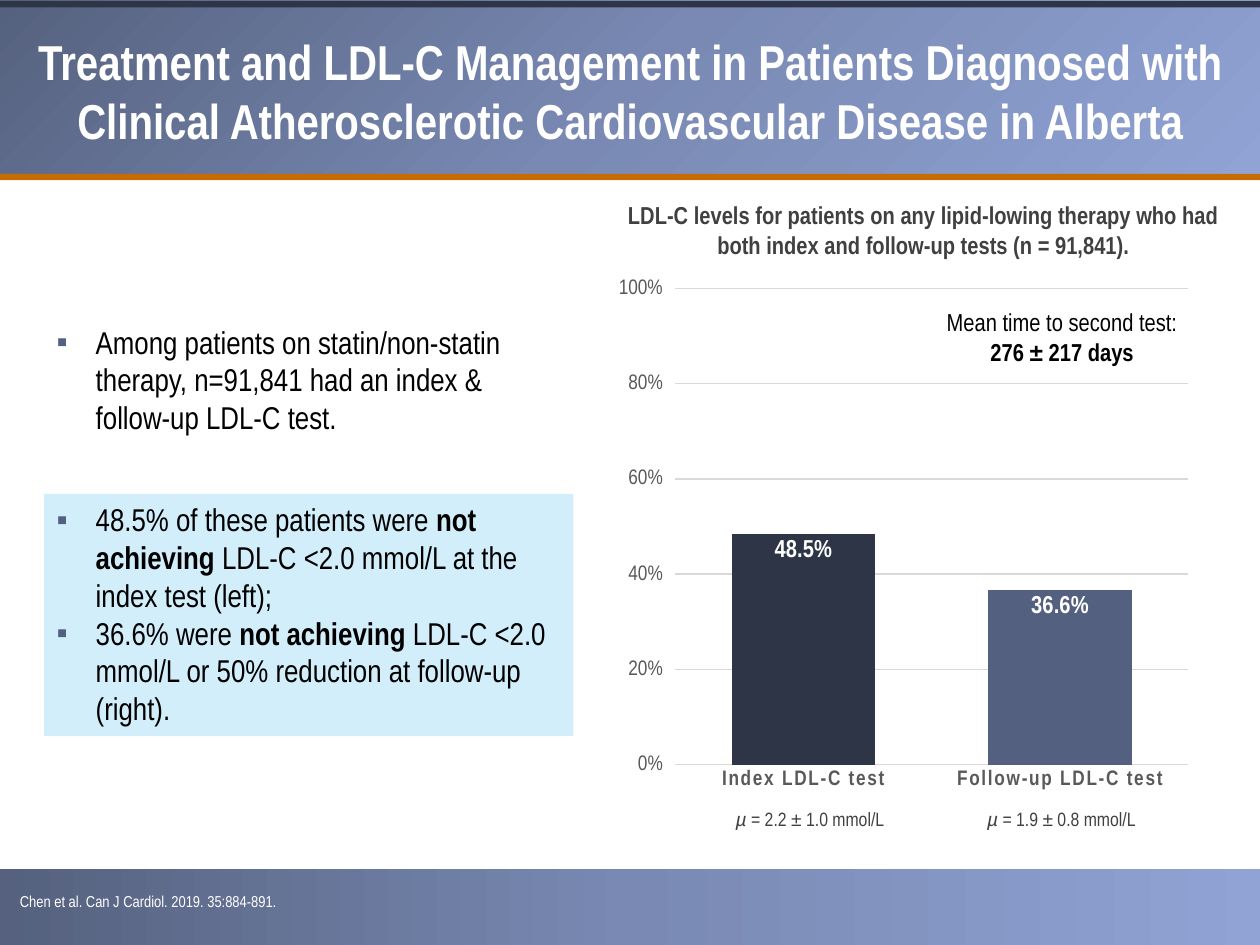
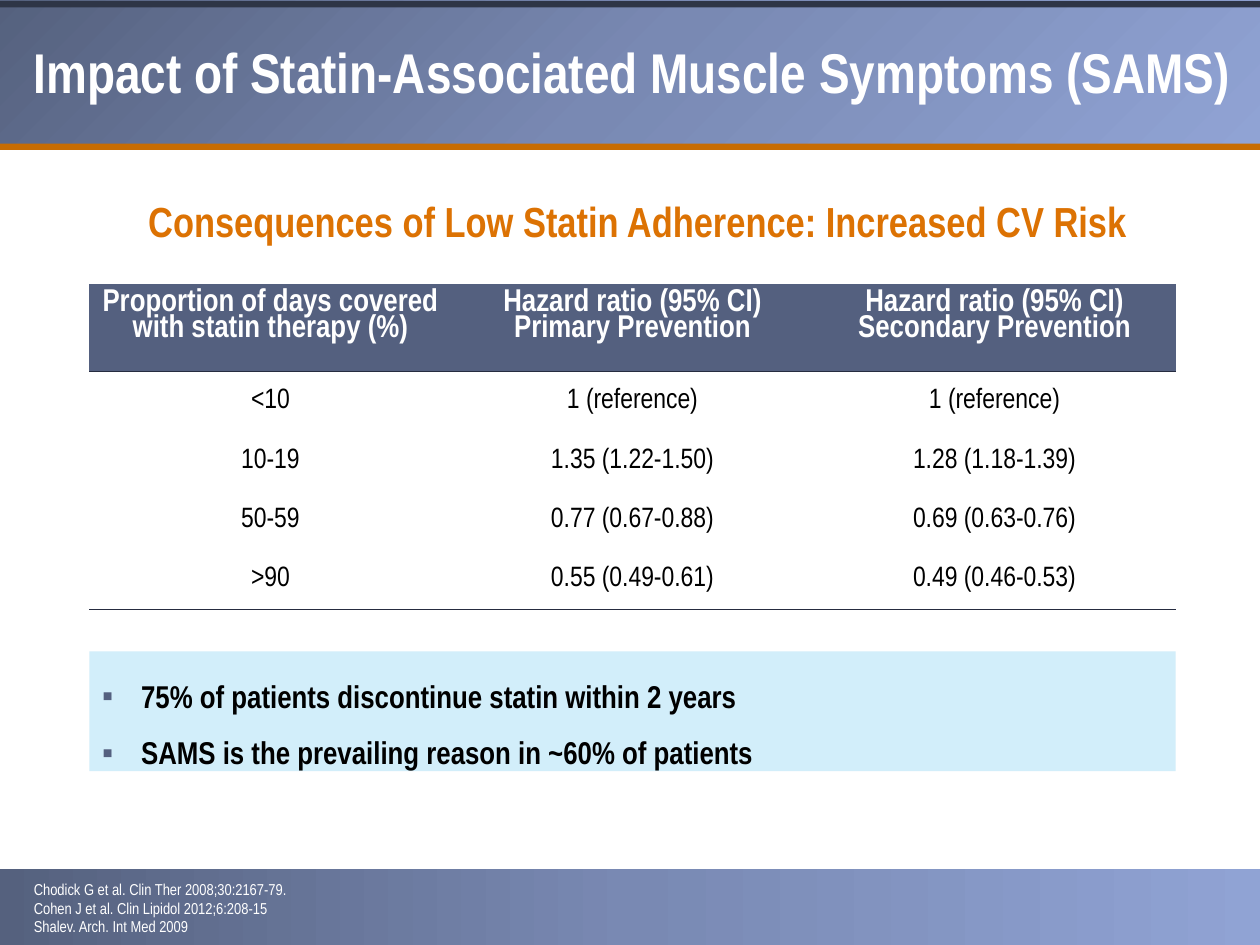
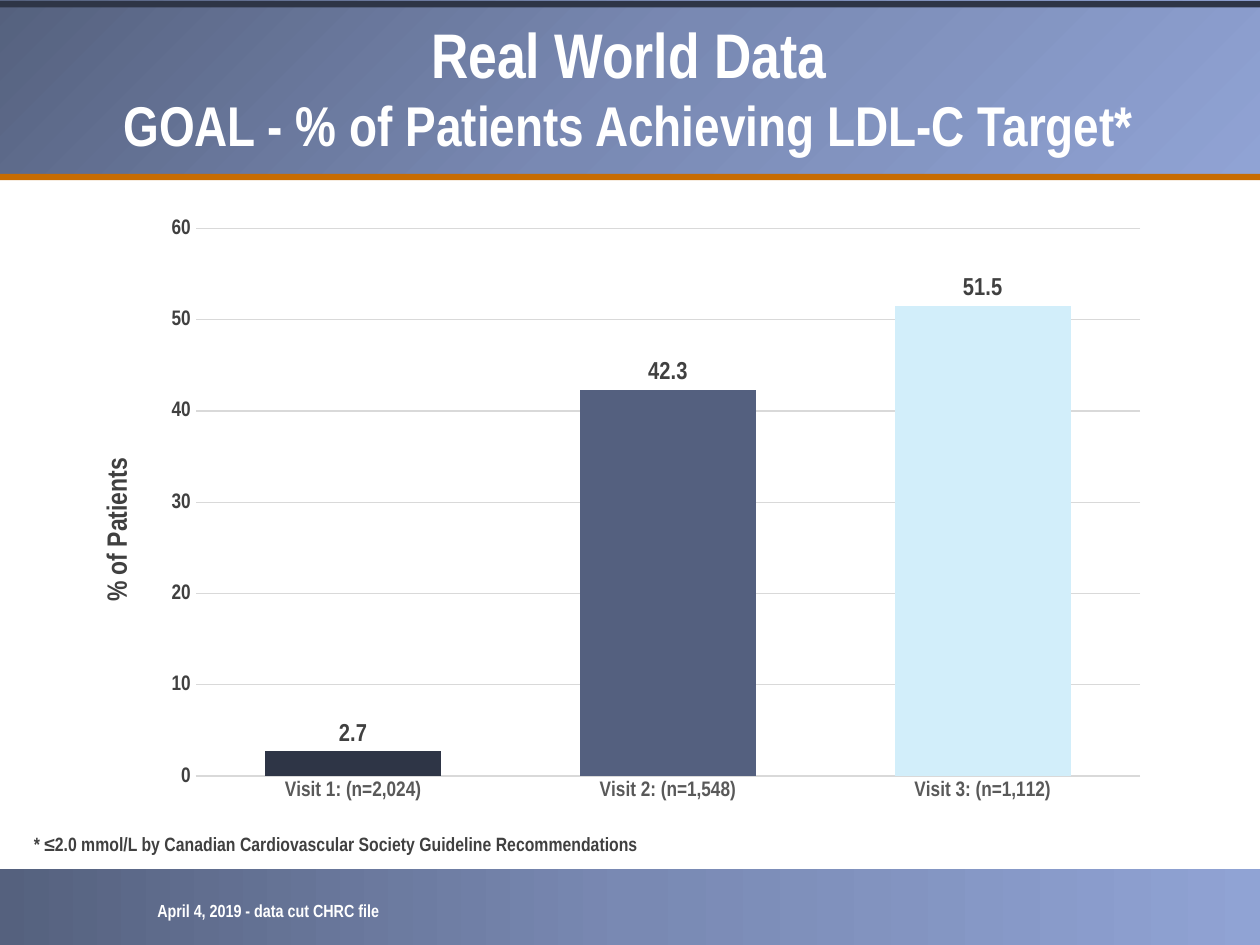
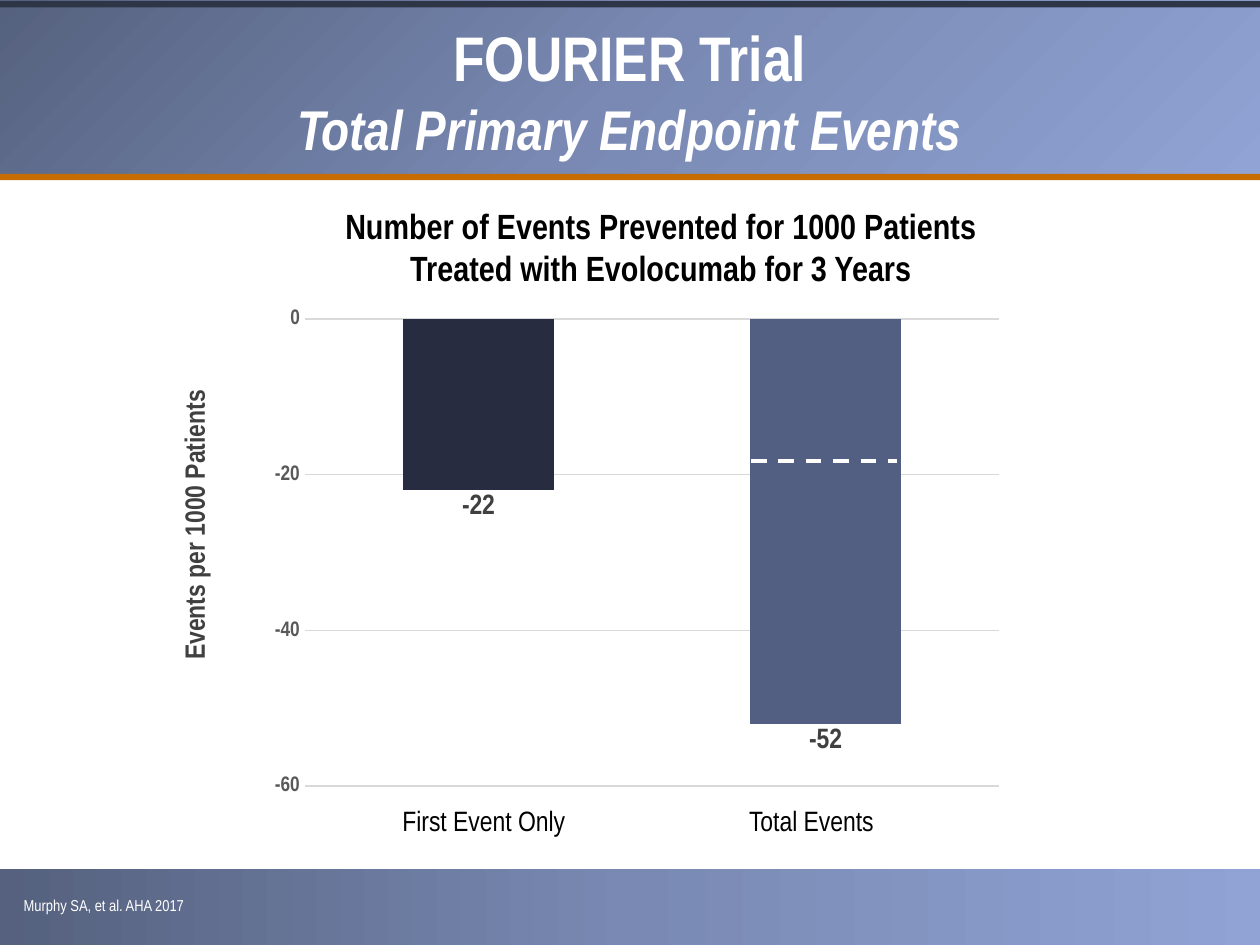
from pptx import Presentation
from pptx.chart.data import CategoryChartData
from pptx.dml.color import RGBColor
from pptx.enum.chart import XL_CHART_TYPE, XL_LABEL_POSITION, XL_TICK_MARK
from pptx.enum.dml import MSO_LINE
from pptx.enum.shapes import MSO_CONNECTOR, MSO_SHAPE
from pptx.enum.text import MSO_ANCHOR, MSO_AUTO_SIZE, PP_ALIGN
from pptx.oxml import parse_xml
from pptx.oxml.ns import nsdecls
from pptx.util import Inches, Pt

SLIDE_W, SLIDE_H = Inches(10), Inches(7.5)
COLS, ROWS = 100, 75
FONT = "Arial Narrow"
NAVY, SLATE, ICE, ORANGE = "2E3546", "54607F", "D2EEFA", "C76C02"
INK, GREY, BLACK, WHITE, GRID = "404040", "595959", "000000", "FFFFFF", "D9D9D9"
GRADIENT = ((0, "55617E"), (50, "7989B3"), (100, "90A3D4"))
RADIAL = '<a:path path="circle"><a:fillToRect r="100000" b="100000"/></a:path>'
LINEAR = '<a:lin ang="0" scaled="0"/>'
NO_GRID_STYLE = "{2D5ABB26-0587-4C30-8999-92F81FD0307C}"
CENTER = PP_ALIGN.CENTER


def rgb(color):
    return RGBColor.from_string(color)


def cells(left, top, width, height):
    col, row = SLIDE_W / COLS, SLIDE_H / ROWS
    return [round(n) for n in (left * col, top * row, width * col, height * row)]


def set_font(font, size, color, bold=False, italic=False):
    font.name, font.size = FONT, Pt(size)
    font.bold, font.italic = bold, italic
    font.color.rgb = rgb(color)


def add_bullet(p):
    pPr = p._p.get_or_add_pPr()
    pPr.set("marL", str(Inches(0.31)))
    pPr.set("indent", str(Inches(-0.31)))
    for xml in (f'<a:buClr {nsdecls("a")}><a:srgbClr val="{SLATE}"/></a:buClr>',
                f'<a:buFont {nsdecls("a")} typeface="Arial"/>',
                f'<a:buChar {nsdecls("a")} char="▪"/>'):
        pPr.append(parse_xml(xml))


def write(tf, paragraphs, size=16, color=BLACK, bold=False, italic=False,
          align=PP_ALIGN.LEFT, bullet=False, spacing=1.0):
    for i, runs in enumerate(paragraphs):
        p = tf.paragraphs[0] if i == 0 else tf.add_paragraph()
        if bullet:
            add_bullet(p)
        p.alignment = align
        p.line_spacing = spacing
        p.space_before = Pt(0)
        for run in [(runs, {})] if isinstance(runs, str) else runs:
            text, changes = run
            r = p.add_run()
            r.text = text
            look = dict(size=size, color=color, bold=bold, italic=italic)
            set_font(r.font, **{**look, **changes})


def fill_frame(sp, paragraphs, **fmt):
    tf = sp.text_frame
    tf.word_wrap = True
    tf.auto_size = MSO_AUTO_SIZE.NONE
    tf.vertical_anchor = MSO_ANCHOR.TOP
    write(tf, paragraphs, **fmt)


def add_text(slide, at, *paragraphs, rotation=0, **fmt):
    sp = slide.shapes.add_textbox(*cells(*at))
    sp.rotation = rotation
    fill_frame(sp, paragraphs, **fmt)


def use_placeholder(sp, at, paragraphs, fill=None, **fmt):
    sp.element.getparent().append(sp.element)
    sp.left, sp.top, sp.width, sp.height = cells(*at)
    if fill:
        sp.fill.solid()
        sp.fill.fore_color.rgb = rgb(fill)
    fill_frame(sp, paragraphs, **fmt)


def add_list(slide, idx, at, *items, **fmt):
    use_placeholder(slide.placeholders[idx], at, items, size=18, bullet=True, **fmt)


def add_band(slide, at, color=None, direction=None):
    sp = slide.shapes.add_shape(MSO_SHAPE.RECTANGLE, *cells(*at))
    sp.shadow.inherit = False
    sp.line.fill.background()
    if color:
        sp.fill.solid()
        sp.fill.fore_color.rgb = rgb(color)
        return
    sp.fill.background()
    stops = "".join(f'<a:gs pos="{pos * 1000}"><a:srgbClr val="{c}"/></a:gs>' for pos, c in GRADIENT)
    spPr = sp.element.spPr
    spPr.replace(spPr.find("{*}noFill"), parse_xml(
        f'<a:gradFill {nsdecls("a")} rotWithShape="1"><a:gsLst>{stops}</a:gsLst>{direction}</a:gradFill>'))


def add_slide(prs, layout, title, title_at, size=32, band=14):
    slide = prs.slides.add_slide(prs.slide_layouts.get_by_name(layout))
    add_band(slide, (-0.2, 0, 100.2, band), direction=RADIAL)
    add_band(slide, (-0.2, band - 0.2, 100.2, 0.5), ORANGE)
    add_band(slide, (-0.2, 0.1, 100.2, 0.5), NAVY)
    add_band(slide, (0, 69, 100.2, 6), direction=LINEAR)
    use_placeholder(slide.shapes.title, title_at, title, size=size,
                    color=WHITE, bold=True, align=CENTER)
    return slide


def add_source(slide, at, *lines, size=9, bold=False):
    add_text(slide, at, *lines, size=size, color=WHITE, bold=bold)


def set_plot_area(chart, x, y, w, h):
    parts = "".join(f'<c:{tag} val="{val}"/>' for tag, val in (
        ("layoutTarget", "inner"), ("xMode", "edge"), ("yMode", "edge"),
        ("x", x), ("y", y), ("w", w), ("h", h)))
    plot_area = chart.element.chart.plotArea
    for old in plot_area.findall("{*}layout"):
        plot_area.remove(old)
    plot_area.insert(0, parse_xml(
        f'<c:layout {nsdecls("c")}><c:manualLayout>{parts}</c:manualLayout></c:layout>'))


def add_columns(slide, at, data, colors, scale, plot_area, gap, overlap=0, fmt="General",
                label_fmt="General", label_size=14, label_color=INK,
                label_pos=XL_LABEL_POSITION.OUTSIDE_END, axis_color=GREY, axis_bold=True,
                tick=XL_TICK_MARK.NONE):
    chart_data = CategoryChartData()
    chart_data.categories = list(data)
    chart_data.add_series("Series 1", list(data.values()))
    chart = slide.shapes.add_chart(XL_CHART_TYPE.COLUMN_CLUSTERED, *cells(*at), chart_data).chart
    chart.has_title = chart.has_legend = False
    set_font(chart.font, 10, BLACK)
    set_plot_area(chart, *plot_area)

    axis = chart.value_axis
    axis.minimum_scale, axis.maximum_scale, axis.major_unit = scale
    axis.major_tick_mark = tick
    axis.format.line.fill.background()
    axis.tick_labels.number_format = fmt
    axis.tick_labels.number_format_is_linked = False
    set_font(axis.tick_labels.font, 12, axis_color, axis_bold)
    grid = axis.major_gridlines.format.line
    cats = chart.category_axis
    cats.major_tick_mark = XL_TICK_MARK.NONE
    cats.tick_labels.offset = 0
    set_font(cats.tick_labels.font, 12, GREY, True)
    for line in (grid, cats.format.line):
        line.color.rgb = rgb(GRID)
        line.width = Pt(0.75)

    plot = chart.plots[0]
    plot.vary_by_categories = False
    plot.gap_width, plot.overlap = gap, overlap
    series = plot.series[0]
    series.invert_if_negative = False
    for i, color in enumerate(colors):
        fill = series.points[i].format.fill
        fill.solid()
        fill.fore_color.rgb = rgb(color)
    labels = series.data_labels
    labels.show_value = True
    labels.position = label_pos
    labels.number_format = label_fmt
    labels.number_format_is_linked = False
    set_font(labels.font, label_size, label_color, True)
    return chart


def underline_cell(cell):
    cell._tc.get_or_add_tcPr().insert(0, parse_xml(
        f'<a:lnB {nsdecls("a")} w="{Pt(1)}"><a:solidFill><a:srgbClr val="262C40"/></a:solidFill></a:lnB>'))


def add_table(slide, at, rows, head_height, row_height):
    frame = slide.shapes.add_table(len(rows), len(rows[0]), *cells(*at))
    table = frame.table
    frame.element.xpath(".//a:tableStyleId")[0].text = NO_GRID_STYLE
    table.horz_banding = False
    for i, values in enumerate(rows):
        head = i == 0
        table.rows[i].height = cells(0, 0, 0, head_height if head else row_height)[3]
        for j, value in enumerate(values):
            cell = table.cell(i, j)
            if head:
                cell.fill.solid()
                cell.fill.fore_color.rgb = rgb(SLATE)
                write(cell.text_frame, [value], size=18, color=WHITE, bold=True,
                      align=CENTER, spacing=0.9)
            else:
                cell.fill.background()
                cell.vertical_anchor = MSO_ANCHOR.MIDDLE
                write(cell.text_frame, [value], align=CENTER)
            if i in (0, len(rows) - 1):
                underline_cell(cell)


def add_dashed_line(slide, left, right, y):
    x, top, width, _ = cells(left, y, right - left, 0)
    line = slide.shapes.add_connector(MSO_CONNECTOR.STRAIGHT, x, top, x + width, top)
    line.line.color.rgb = rgb(WHITE)
    line.line.width = Pt(2.25)
    line.line.dash_style = MSO_LINE.DASH
    line.element.spPr.append(parse_xml(f'<a:effectLst {nsdecls("a")}/>'))


def management_slide(prs):
    slide = add_slide(prs, "Two Content", [
        "Treatment and LDL-C Management in Patients Diagnosed with Clinical "
        "Atherosclerotic Cardiovascular Disease in Alberta"], (0, 2, 100, 10.4), size=28)
    add_source(slide, (0.6, 70.3, 95.4, 2.5), "Chen et al. Can J Cardiol. 2019. 35:884-891.")
    chart = add_columns(
        slide, (48.3, 22, 52.9, 45), {"Index LDL-C test": 0.485, "Follow-up LDL-C test": 0.366},
        (NAVY, SLATE), (0, 1, 0.2), (0.1, 0.02, 0.77, 0.84), gap=79, fmt="0%", label_fmt="0.0%",
        label_color=WHITE, label_pos=XL_LABEL_POSITION.INSIDE_END, axis_bold=False,
        tick=XL_TICK_MARK.OUTSIDE)
    chart.element.xpath(".//c:catAx//a:defRPr")[0].set("spc", "100")
    add_text(slide, (72, 23.9, 24.6, 5.7), "Mean time to second test:",
             [("276 ± 217 days", {"bold": True})], size=14, align=CENTER)
    for at, mean in (((55.5, 63.6, 17.6, 2.9), "= 2.2 ± 1.0 mmol/L"),
                     ((74.4, 63.6, 19.7, 2.9), "= 1.9 ± 0.8 mmol/L")):
        add_text(slide, at, [("µ ", {"italic": True}), (mean, {})],
                 size=11, color=INK, align=CENTER)
    add_text(slide, (48.3, 15.4, 50, 5.7),
             "LDL-C levels for patients on any lipid-lowing therapy who had both index "
             "and follow-up tests (n = 91,841).", size=14, color=INK, bold=True, align=CENTER)
    add_list(slide, 1, (3.5, 25.1, 42, 13.1),
             "Among patients on statin/non-statin therapy, n=91,841 had an index & "
             "follow-up LDL-C test.")
    strong = {"bold": True}
    add_list(slide, 2, (3.5, 39.2, 42, 19.2),
             [("48.5% of these patients were ", {}), ("not achieving", strong),
              (" LDL-C <2.0 mmol/L at the index test (left);", {})],
             [("36.6% were ", {}), ("not achieving ", strong),
              ("LDL-C <2.0 mmol/L or 50% reduction at follow-up (right).", {})], fill=ICE)


def adherence_slide(prs):
    slide = add_slide(prs, "Title and Content",
                      ["Impact of Statin-Associated Muscle Symptoms (SAMS)"],
                      (0.2, 2.5, 100, 6.4), band=11.6)
    add_source(slide, (1.7, 69.3, 95.4, 5.6), "Chodick G et al. Clin Ther 2008;30:2167-79.",
               "Cohen J et al. Clin Lipidol 2012;6:208-15", "Shalev. Arch. Int Med 2009")
    add_table(slide, (7.1, 22.5, 86.2, 25.9), [
        ("Proportion of days covered with statin therapy (%)",
         "Hazard ratio (95% CI) Primary Prevention", "Hazard ratio (95% CI) Secondary Prevention"),
        ("<10", "1 (reference)", "1 (reference)"),
        ("10-19", "1.35 (1.22-1.50)", "1.28 (1.18-1.39)"),
        ("50-59", "0.77 (0.67-0.88)", "0.69 (0.63-0.76)"),
        (">90", "0.55 (0.49-0.61)", "0.49 (0.46-0.53)")], head_height=7, row_height=4.72)
    add_list(slide, 1, (7.1, 51.7, 86.2, 9.5), "75% of patients discontinue statin within 2 years",
             "SAMS is the prevailing reason in ~60% of patients", fill=ICE, bold=True, spacing=1.5)
    add_text(slide, (7.5, 15, 86.2, 5), "Consequences of Low Statin Adherence: Increased CV Risk",
             size=24, color="DC7203", bold=True, align=CENTER)


def goal_slide(prs):
    slide = add_slide(prs, "Title Only", [
        [("Real World Data", {"size": 36})], "GOAL - % of Patients Achieving LDL-C Target*"],
        (-0.1, 0.7, 100, 12.5))
    add_source(slide, (11.5, 70.9, 31, 2.7), "April 4, 2019 - data cut CHRC file", size=10, bold=True)
    visits = {"Visit 1: (n=2,024)": 2.7, "Visit 2: (n=1,548)": 42.3, "Visit 3: (n=1,112)": 51.5}
    add_columns(slide, (11.5, 16.2, 80.6, 48.3), visits, (NAVY, SLATE, ICE), (0, 60, 10),
                (0.05, 0.04, 0.93, 0.9), gap=79, overlap=-27, axis_color=INK)
    add_text(slide, (-0.9, 40.2, 20.2, 3.7), "% of Patients", rotation=270,
             color=INK, bold=True, align=CENTER)
    add_text(slide, (1.7, 65.6, 57.4, 2.9),
             "* ≤2.0 mmol/L by Canadian Cardiovascular Society Guideline Recommendations",
             size=11, color=INK, bold=True)


def trial_slide(prs):
    slide = add_slide(prs, "Title Only", [
        [("FOURIER Trial", {"size": 36})], [("Total Primary Endpoint Events", {"italic": True})]],
        (0, 1, 100, 12.5))
    add_source(slide, (0.9, 70.6, 95.4, 2.5), "Murphy SA, et al. AHA 2017")
    chart = add_columns(slide, (20.6, 23.7, 59.9, 40.3), {"1": -22, "2": -52},
                        ("272C40", "525F83"), (-60, 0, 20), (0.06, 0.04, 0.92, 0.92),
                        gap=130, overlap=-27, label_size=16)
    chart.category_axis.visible = False
    add_text(slide, (-5.9, 39.8, 42.6, 3.7), "Events per 1000 Patients", rotation=270,
             color=INK, bold=True, align=CENTER)
    for i, name in enumerate(("First Event Only", "Total Events")):
        add_text(slide, (28 + 26 * i, 63.3, 20.8, 3.7), name, align=CENTER)
    add_text(slide, (22.2, 15.7, 60.5, 7.7),
             "Number of Events Prevented for 1000 Patients Treated with Evolocumab for 3 Years",
             size=20, bold=True, align=CENTER)
    add_dashed_line(slide, 59.6, 71.2, 36.6)


def main():
    prs = Presentation()
    prs.slide_width, prs.slide_height = SLIDE_W, SLIDE_H
    for build in (management_slide, adherence_slide, goal_slide, trial_slide):
        build(prs)
    prs.save("out.pptx")


if __name__ == "__main__":
    main()
